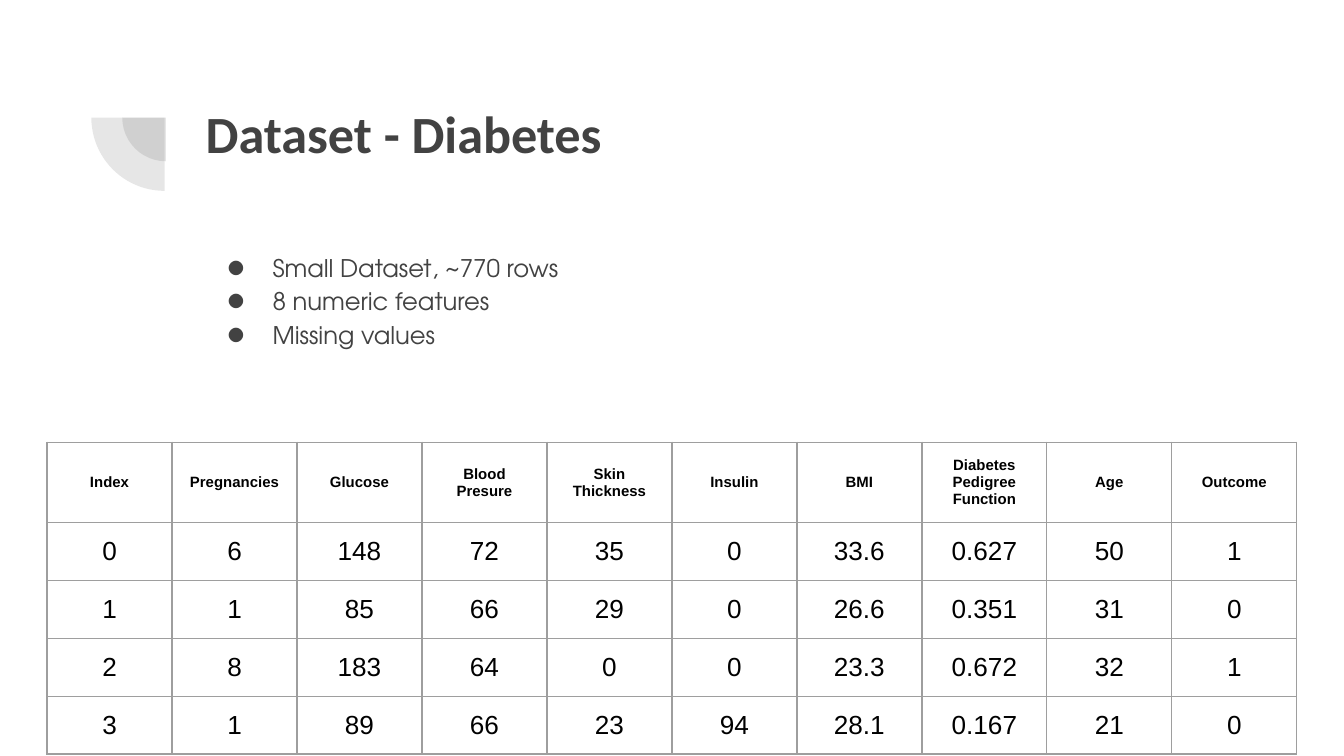
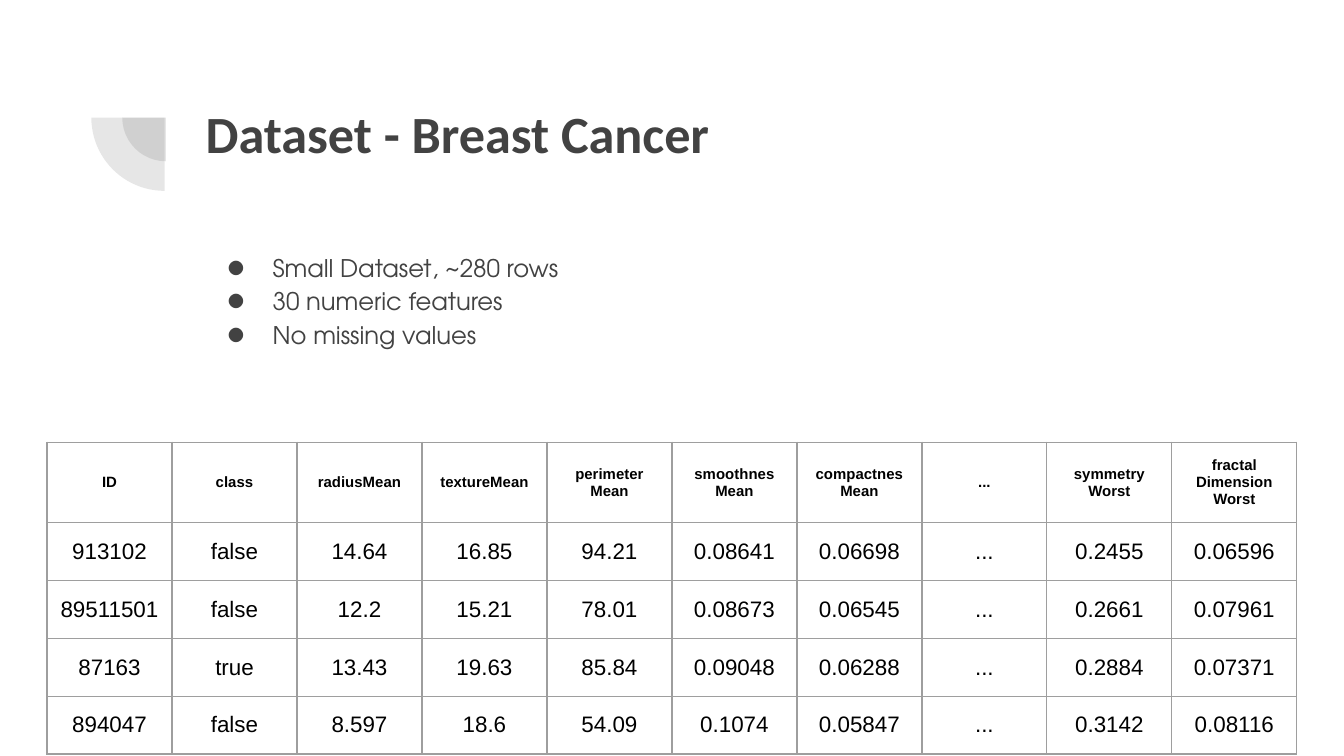
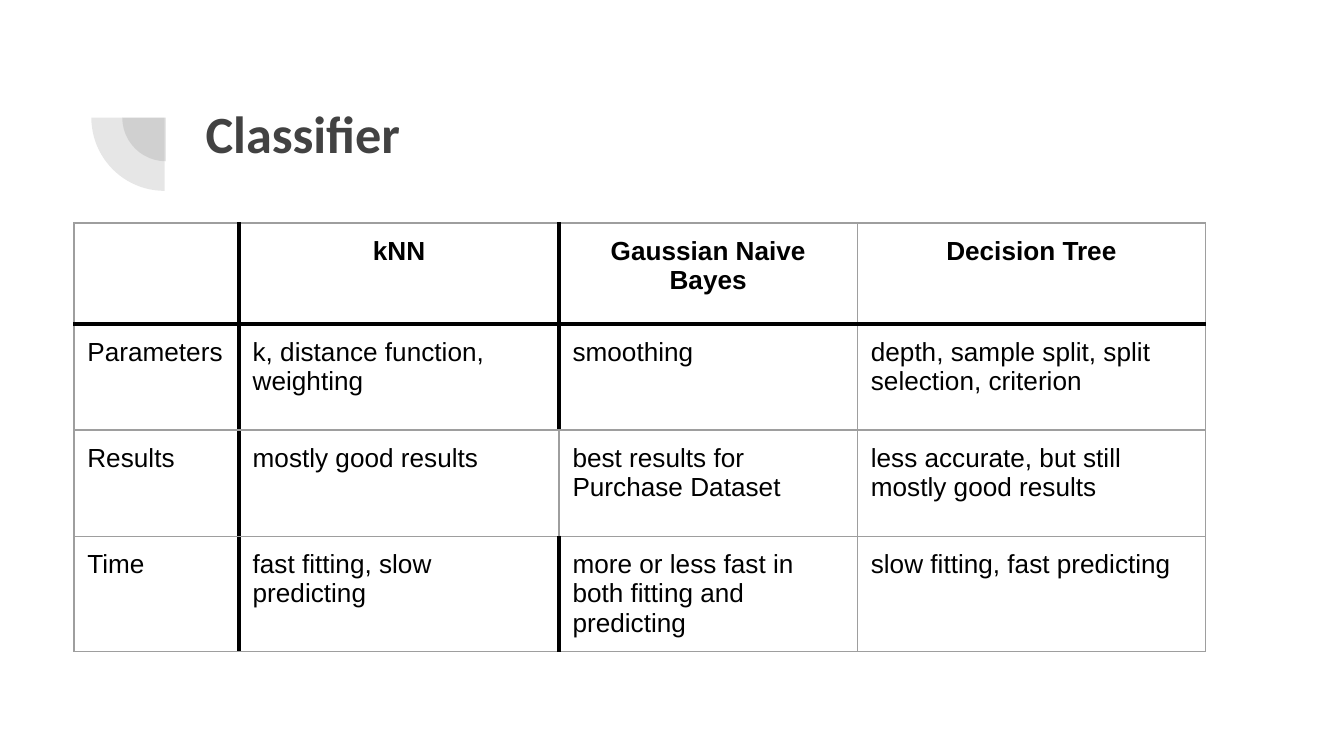
from lxml.etree import SubElement
from pptx import Presentation
from pptx.dml.color import RGBColor
from pptx.enum.shapes import MSO_SHAPE
from pptx.enum.text import MSO_ANCHOR, MSO_AUTO_SIZE, PP_ALIGN
from pptx.oxml import parse_xml
from pptx.oxml.ns import nsdecls, qn
from pptx.util import Inches, Pt

# Shared look
DARK, BLACK, GREY = "424242", "000000", "9E9E9E"
THIN, THICK = (GREY, 0.75), (BLACK, 2.25)
HEAD = {"name": "Calibri", "size": Pt(28), "bold": True}
BODY = {"name": "TeX Gyre Adventor", "size": Pt(13), "bold": False}
FRAME = {"word_wrap": True, "auto_size": MSO_AUTO_SIZE.NONE,
         "vertical_anchor": MSO_ANCHOR.TOP}
MARGINS = ("margin_left", "margin_top", "margin_right", "margin_bottom")
LEFT, WIDE = Inches(1.43), Inches(7.69)


def style(para, fmt, tint, align):
    para.alignment = align
    for run in para.runs:
        for key, value in fmt.items():
            setattr(run.font, key, value)
        run.font.color.rgb = RGBColor.from_string(tint)


def fit(box, fmt):
    for key, value in fmt.items():
        setattr(box, key, value)
    for side in MARGINS:
        setattr(box, side, Inches(0.1))


# Slide content
decks = [
    {"title": "Dataset - Diabetes",
     "points": ["Small Dataset, ~770 rows", "8 numeric features", "Missing values"],
     "at": (0.35, 3.29), "cols": [0.93] * 10, "rows": [0.6] + [0.43] * 4,
     "sizes": (8, 14),
     "cells": [
         ["Index", "Pregnancies", "Glucose", "Blood\nPresure", "Skin\nThickness",
          "Insulin", "BMI", "Diabetes\nPedigree\nFunction", "Age", "Outcome"],
         ["0", "6", "148", "72", "35", "0", "33.6", "0.627", "50", "1"],
         ["1", "1", "85", "66", "29", "0", "26.6", "0.351", "31", "0"],
         ["2", "8", "183", "64", "0", "0", "23.3", "0.672", "32", "1"],
         ["3", "1", "89", "66", "23", "94", "28.1", "0.167", "21", "0"]]},
    {"title": "Dataset - Breast Cancer",
     "points": ["Small Dataset, ~280 rows", "30 numeric features", "No missing values"],
     "at": (0.35, 3.29), "cols": [0.93] * 10, "rows": [0.6] + [0.43] * 4,
     "sizes": (8, 12),
     "cells": [
         ["ID", "class", "radiusMean", "textureMean", "perimeter\nMean",
          "smoothnes\nMean", "compactnes\nMean", "...", "symmetry\nWorst",
          "fractal\nDimension\nWorst"],
         ["913102", "false", "14.64", "16.85", "94.21", "0.08641", "0.06698",
          "...", "0.2455", "0.06596"],
         ["89511501", "false", "12.2", "15.21", "78.01", "0.08673", "0.06545",
          "...", "0.2661", "0.07961"],
         ["87163", "true", "13.43", "19.63", "85.84", "0.09048", "0.06288",
          "...", "0.2884", "0.07371"],
         ["894047", "false", "8.597", "18.6", "54.09", "0.1074", "0.05847",
          "...", "0.3142", "0.08116"]]},
    {"title": "Classifier", "points": [],
     "at": (0.55, 1.66), "cols": [1.23, 2.38, 2.22, 2.59],
     "rows": [0.75, 0.79, 0.79, 0.75], "sizes": (14, 14),
     "cells": [
         ["", "kNN", "Gaussian Naive Bayes", "Decision Tree"],
         ["Parameters", "k, distance function, weighting", "smoothing",
          "depth, sample split, split selection, criterion"],
         ["Results", "mostly good results", "best results for Purchase Dataset",
          "less accurate, but still mostly good results"],
         ["Time", "fast fitting, slow predicting",
          "more or less fast in both fitting and predicting",
          "slow fitting, fast predicting"]]},
]

# Widescreen, 16 to 9
deck = Presentation()
deck.slide_width = Inches(10)
deck.slide_height = deck.slide_width * 9 // 16
layout = deck.slide_layouts[5]

for page in decks:
    slide = deck.slides.add_slide(layout)
    shapes = slide.shapes

    # Quarter discs, drawn once and kept on the layout
    if page is decks[0]:
        for place, (x, y, size) in enumerate([(0.91, 0.55, 0.65), (0.68, 0.33, 1.09)]):
            disc = shapes.add_shape(MSO_SHAPE.PIE, *map(Inches, (x, y, size, size)))
            disc.adjustments[0], disc.adjustments[1] = 108, 162
            disc.rotation = 270
            disc.shadow.inherit = False
            disc.line.fill.background()
            disc.fill.solid()
            disc.fill.fore_color.rgb = RGBColor.from_string(DARK)
            tone = disc.element.spPr.find(".//" + qn("a:srgbClr"))
            SubElement(tone, qn("a:alpha"), val="13000")
            layout.shapes.element.insert(2 + place, disc.element)

    # Title
    title = shapes.title
    title.left, title.top, title.width, title.height = LEFT, Inches(0.65), WIDE, Inches(1.09)
    title.text = page["title"]
    fit(title.text_frame, FRAME)
    style(title.text_frame.paragraphs[0], HEAD, DARK, PP_ALIGN.LEFT)

    # Bullet list
    if page["points"]:
        body = shapes.add_textbox(LEFT, Inches(1.75), WIDE, Inches(2.78)).text_frame
        fit(body, FRAME)
        body.text = "\n".join(page["points"])
        for para in body.paragraphs:
            style(para, BODY, DARK, PP_ALIGN.LEFT)
            para.line_spacing = 1.15
            props = para._p.get_or_add_pPr()
            props.set("marL", str(Inches(0.5)))
            props.set("indent", str(Inches(-0.34)))
            SubElement(SubElement(props, qn("a:buClr")), qn("a:srgbClr"), val=DARK)
            SubElement(props, qn("a:buFont"), typeface=BODY["name"])
            SubElement(props, qn("a:buChar"), char="●")

    # Table
    cols, rows, cells = page["cols"], page["rows"], page["cells"]
    x, y = page["at"]
    table = shapes.add_table(len(rows), len(cols), *map(
        Inches, (x, y, sum(cols), sum(rows)))).table
    table.first_row = table.horz_banding = False
    for col, width in zip(table.columns, cols):
        col.width = Inches(width)
    for row, height in zip(table.rows, rows):
        row.height = Inches(height)
    data = bool(page["points"])
    for r, line in enumerate(cells):
        for c, text in enumerate(line):
            cell = table.cell(r, c)
            cell.text = text
            cell.fill.background()
            anchor = MSO_ANCHOR.MIDDLE if data else MSO_ANCHOR.TOP
            fit(cell, {"vertical_anchor": anchor})
            font = {"name": "Arial", "size": Pt(page["sizes"][r > 0]), "bold": r == 0}
            align = PP_ALIGN.CENTER if data or r == 0 else PP_ALIGN.LEFT
            for para in cell.text_frame.paragraphs:
                style(para, font, BLACK, align)

            # Heavy rules around the kNN column, open at Results, and below the header
            heavy = {"L": c == 1 or (c == 2 and r != 2),
                     "R": c == 0 or (c == 1 and r != 2),
                     "T": r == 1, "B": r == 0}
            for spot, (side, bold) in enumerate(heavy.items()):
                tint, weight = THICK if bold and not data else THIN
                cell._tc.get_or_add_tcPr().insert(spot, parse_xml(
                    f'<a:ln{side} {nsdecls("a")} w="{Pt(weight)}"><a:solidFill>'
                    f'<a:srgbClr val="{tint}"/></a:solidFill></a:ln{side}>'))

deck.save("out.pptx")
